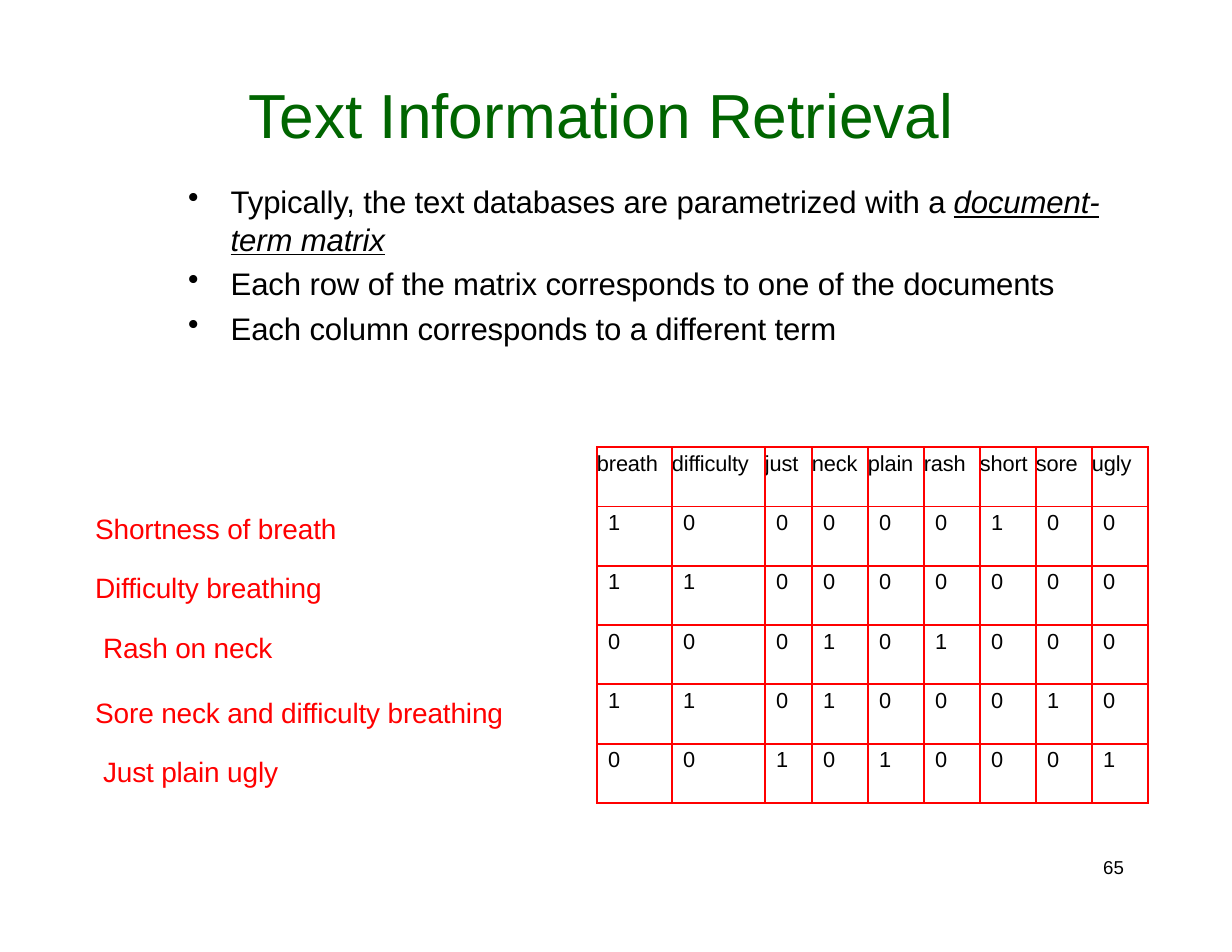
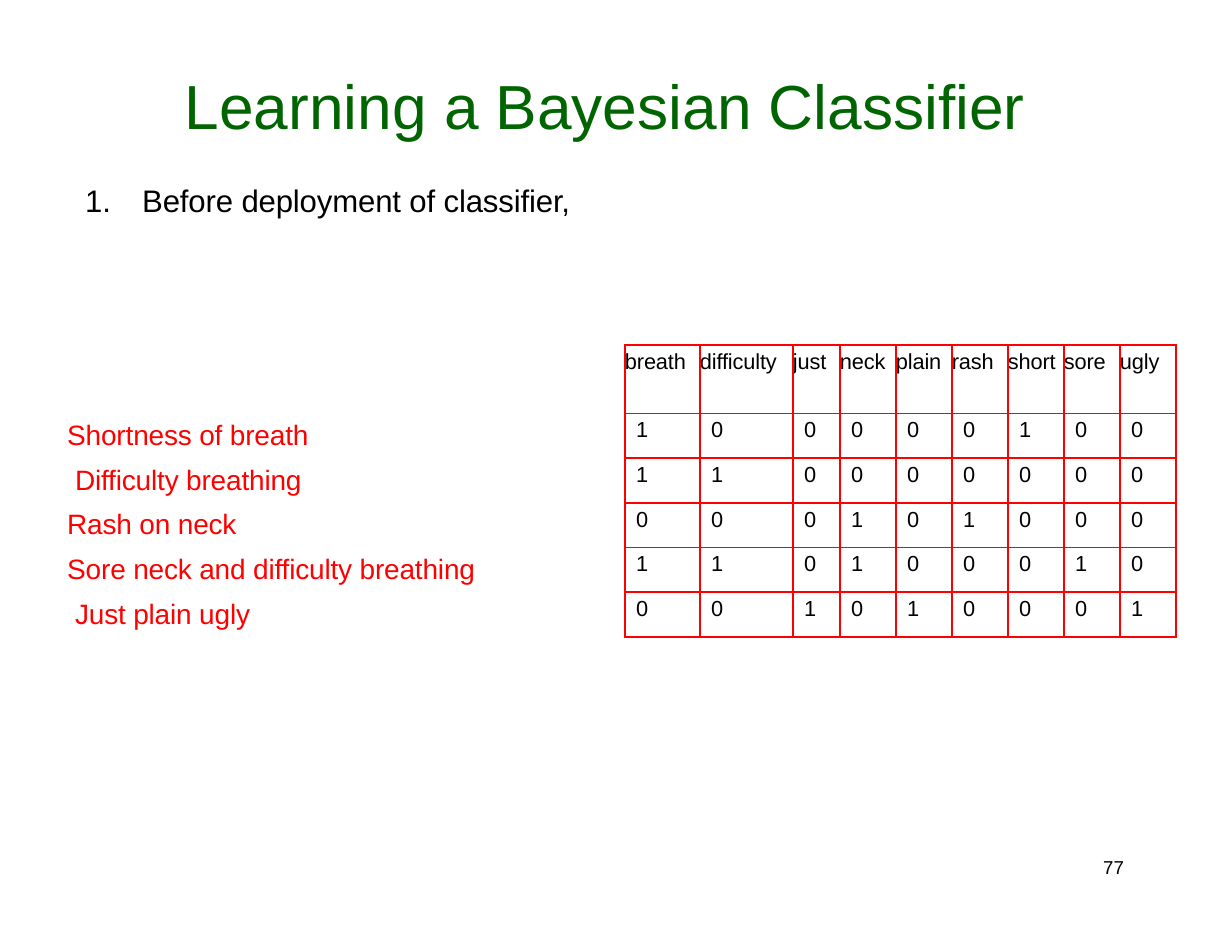
from pptx import Presentation, util as u
from pptx.dml.color import RGBColor
from pptx.oxml.ns import qn
from lxml import etree

HUES = {"title": "006500", "body": "000000", "accent": "FF0000"}
TITLE = {"size": u.Pt(40), "name": "Arial"}
BODY = {"size": u.Pt(20), "name": "Arial"}
LABEL = {"size": u.Pt(18), "name": "Arial"}
CELL = {"size": u.Pt(14), "name": "Arial"}
PAGE = {"size": u.Pt(12), "name": "Arial"}
EMPH = {"italic": True, "underline": True}

TERMS = ["breath", "difficulty", "just", "neck", "plain", "rash", "short", "sore", "ugly"]
COUNTS = ["100000100", "110000000", "000101000", "110100010", "001010001"]
WIDTHS = [0.67, 0.83, 0.42] + [0.5] * 6
NOTES = ["Shortness of breath", "Difficulty breathing", "Rash on neck",
         "Sore neck and difficulty breathing", "Just plain ugly"]

SLIDES = [
    {"title": "Text Information Retrieval", "spot": (2.22, 0.67, 6.39, 0.7), "page": "65",
     "list": (1.67, 1.62, 8.27, 1.49), "hang": (0.39, -0.38), "mark": "•",
     "items": [["Typically, the text databases are parametrized with a ", "document- term matrix"],
               ["Each row of the matrix corresponds to one of the documents"],
               ["Each column corresponds to a different term"]],
     "grid": (5.33, 3.99), "rows": [0.53] * 6, "thick": 1,
     "notes": (0.84, 4.56, 3.72, 2.44), "lines": [None] + [38] * 4,
     "gaps": [1, 0, 0, 4, 0], "inset": (2, 4)},
    {"title": "Learning a Bayesian Classifier", "spot": (1.65, 0.59, 7.53, 0.7), "page": "77",
     "list": (0.75, 1.61, 4.4, 0.36), "hang": (0.52, -0.51), "mark": None,
     "items": [["1.\tBefore deployment of classifier,"]],
     "grid": (5.58, 3.08), "rows": [0.61] + [0.4] * 5, "thick": 4,
     "notes": (0.59, 3.62, 3.72, 2.02), "lines": [28.7] * 5,
     "gaps": [0.9, 0, 0, 0, 0], "inset": (1, 4)},
]


def style(run, form, hue, track=-10):
    """Apply a text format, a colour and tracking to one run."""
    for key, val in form.items():
        setattr(run.font, key, val)
    run.font.color.rgb = RGBColor.from_string(HUES[hue])
    run._r.get_or_add_rPr().set("spc", str(track))


def frame(slide, box, top=0.01):
    """Add a wrapping text box and return its text frame."""
    tf = slide.shapes.add_textbox(*map(u.Inches, box)).text_frame
    for key, val in {"word_wrap": True, "margin_left": 0, "margin_right": 0,
                     "margin_top": u.Inches(top), "margin_bottom": 0}.items():
        setattr(tf, key, val)
    return tf


prs = Presentation()
prs.slide_width, prs.slide_height = u.Inches(11), u.Inches(8.5)

for data in SLIDES:
    slide = prs.slides.add_slide(prs.slide_layouts[6])

    # Page number
    para = frame(slide, (9.85, 7.64, 0.24, 0.21), 0).paragraphs[0]
    para.line_spacing = u.Pt(14.2)
    style(para.add_run(), PAGE, "body", 0)
    para.runs[0].text = data["page"]

    # Title
    para = frame(slide, data["spot"]).paragraphs[0]
    para.space_before = u.Pt(1)
    run = para.add_run()
    run.text = data["title"]
    style(run, TITLE, "title", 0)

    # List with hanging marks
    tf = frame(slide, data["list"])
    for i, parts in enumerate(data["items"]):
        para = tf.paragraphs[0] if i == 0 else tf.add_paragraph()
        para.space_before = u.Pt(4.8 if i else 0.9)
        props = para._p.get_or_add_pPr()
        for key, val in zip(("marL", "indent"), data["hang"]):
            props.set(key, str(u.Inches(val)))
        if data["mark"]:
            etree.SubElement(props, qn("a:buChar")).set("char", data["mark"])
        for j, part in enumerate(parts):
            run = para.add_run()
            run.text = part
            style(run, {**BODY, **EMPH} if j else BODY, "body")

    # Document-term table
    rows = [TERMS] + COUNTS
    size = (sum(WIDTHS), sum(data["rows"]))
    table = slide.shapes.add_table(len(rows), len(TERMS),
                                   *map(u.Inches, data["grid"] + size)).table
    table.first_row = table.horz_banding = False
    for col, width in zip(table.columns, WIDTHS):
        col.width = u.Inches(width)
    for r, row in enumerate(rows):
        table.rows[r].height = u.Inches(data["rows"][r])
        for c, word in enumerate(row):
            cell = table.cell(r, c)
            for key, val in {"left": 0.1 if r else 0, "top": 0.04,
                             "right": 0, "bottom": 0}.items():
                setattr(cell, "margin_" + key, u.Inches(val))
            para = cell.text_frame.paragraphs[0]
            para.space_before = u.Pt(3.1)
            run = para.add_run()
            run.text = word
            style(run, CELL, "body")
            # Borders go before the fill in the cell properties
            props = cell._tc.get_or_add_tcPr()
            for side in "LRTB":
                heavy = (side == "B" and r >= data["thick"]) or (side == "T" and r > data["thick"])
                line = etree.SubElement(props, qn("a:ln" + side), w=str(u.Pt(1.5 if heavy else 1)))
                fill = etree.SubElement(line, qn("a:solidFill"))
                etree.SubElement(fill, qn("a:srgbClr"), val=HUES["accent"])
            cell.fill.background()

    # Row labels
    tf = frame(slide, data["notes"])
    for i, note in enumerate(NOTES):
        para = tf.paragraphs[0] if i == 0 else tf.add_paragraph()
        para.space_before = u.Pt(data["gaps"][i])
        if data["lines"][i]:
            para.line_spacing = u.Pt(data["lines"][i])
        left = 0.08 if i in data["inset"] else 0.01
        para._p.get_or_add_pPr().set("marL", str(u.Inches(left)))
        run = para.add_run()
        run.text = note
        style(run, LABEL, "accent")

prs.save("out.pptx")
